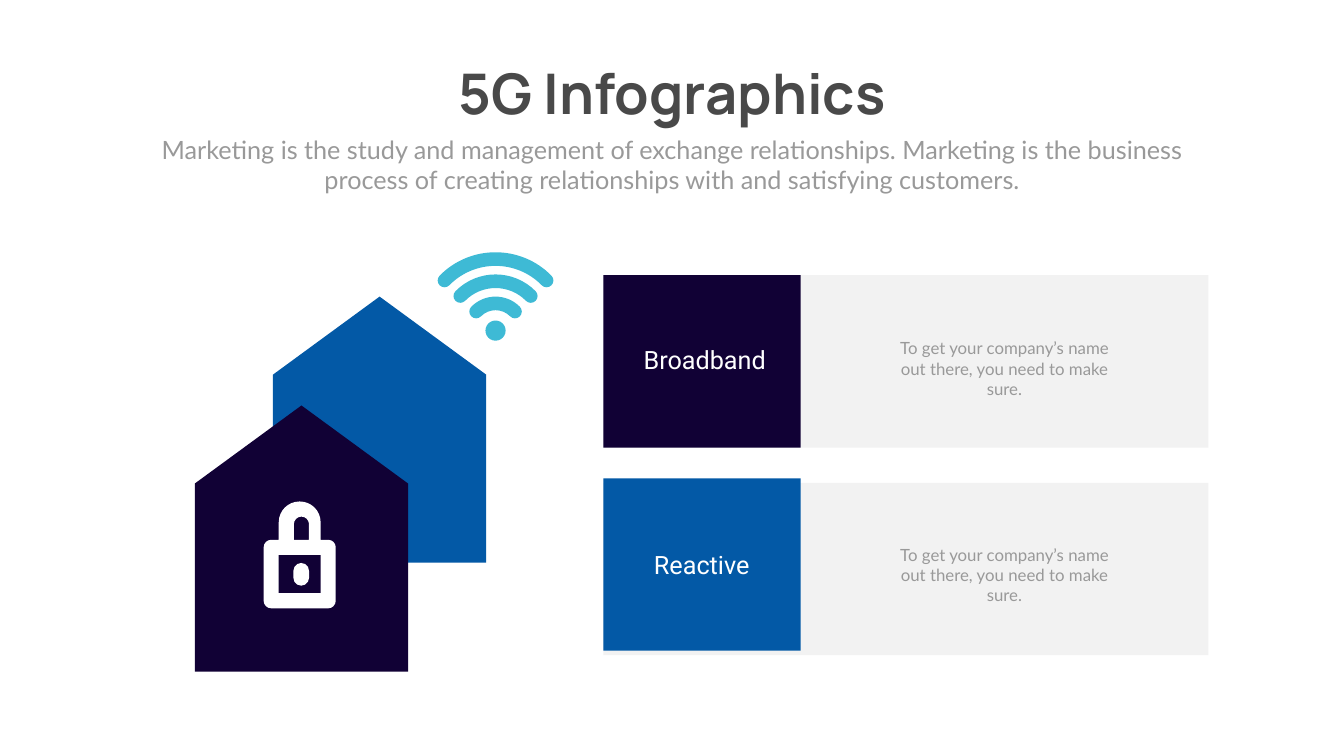
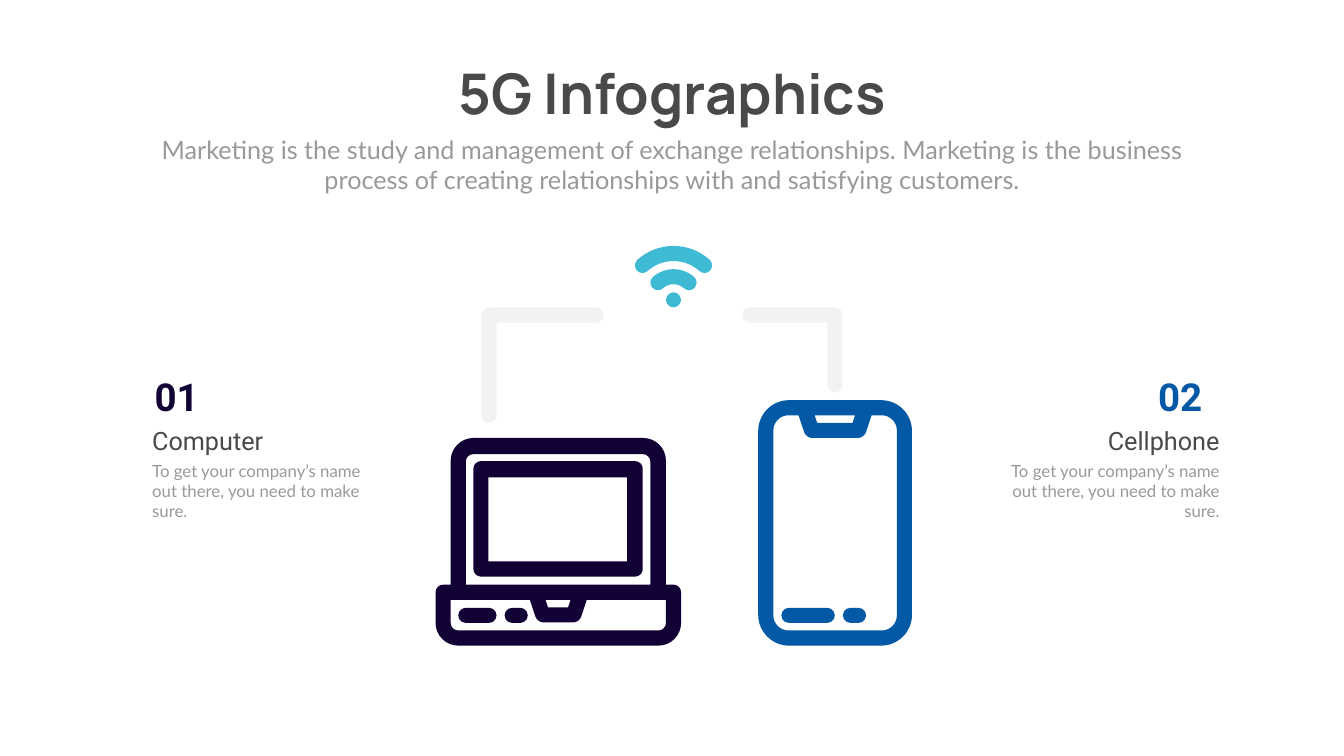
import math
from dataclasses import dataclass
from typing import NamedTuple

from lxml import etree
from pptx import Presentation
from pptx import util as u
from pptx.dml import color
from pptx.enum import shapes, text
from pptx.oxml import ns

COLOURS = {
    "navy": "110135",
    "blue": "0359A6",
    "cyan": "3EBAD5",
    "pale": "F2F2F2",
    "white": "FFFFFF",
    "dark": "494949",
    "grey": "999999",
}
TITLE = "5G Infographics"
SUBTITLE = (
    "Marketing is the study and management of exchange relationships. "
    "Marketing is the business process of creating relationships with and satisfying customers."
)
BLURB = "To get your company’s name out there, you need to make sure."
LEFT, CENTER, RIGHT = text.PP_ALIGN.LEFT, text.PP_ALIGN.CENTER, text.PP_ALIGN.RIGHT
STROKE = 0.3


class Corner(NamedTuple):
    x: float
    y: float
    radius: float = 0


class Point(NamedTuple):
    x: float
    y: float


@dataclass
class Card:
    label: str
    colour: str
    panel_top: float
    label_top: float
    text_left: float
    text_top: float
    blurb_top: float


@dataclass
class Device:
    number: str
    name: str
    colour: str
    align: text.PP_ALIGN
    number_left: float
    number_align: text.PP_ALIGN
    name_left: float
    blurb_left: float


CARDS = [
    Card("Broadband", "navy", 5.46, 5.46, 12.35, 6.78, 6.66),
    Card("Reactive", "blue", 9.58, 9.49, 12.29, 10.84, 10.76),
]
DEVICES = [
    Device("01", "Computer", "navy", LEFT, 2.97, LEFT, 2.92, 2.92),
    Device("02", "Cellphone", "blue", RIGHT, 22.64, CENTER, 21.03, 19.46),
]


def paint(sp, colour: str):
    sp.shadow.inherit = False
    sp.fill.solid()
    sp.fill.fore_color.rgb = color.RGBColor.from_string(COLOURS[colour])
    sp.line.fill.background()
    return sp


def add_preset(s, kind, left: float, top: float, width: float, height: float, colour: str):
    box = map(u.Inches, (left, top, width, height))
    return paint(s.shapes.add_shape(kind, *box), colour)


def add_bar(s, left: float, top: float, width: float, height: float, colour: str) -> None:
    add_preset(s, shapes.MSO_SHAPE.RECTANGLE, left, top, width, height, colour)


def add_pill(s, left: float, top: float, width: float, height: float, colour: str) -> None:
    sp = add_preset(s, shapes.MSO_SHAPE.ROUNDED_RECTANGLE, left, top, width, height, colour)
    sp.adjustments[0] = 0.5


def add_text(s, content: str, left: float, top: float, width: float, height: float, *,
             font: str = "Lato", size: float = 24, colour: str = "grey",
             bold: bool = False, align=LEFT, wrap: bool = True) -> None:
    tf = s.shapes.add_textbox(*map(u.Inches, (left, top, width, height))).text_frame
    tf.word_wrap = wrap
    tf.auto_size = text.MSO_AUTO_SIZE.SHAPE_TO_FIT_TEXT
    p = tf.paragraphs[0]
    p.alignment = align
    r = p.add_run()
    r.text = content
    r.font.name, r.font.size, r.font.bold = font, u.Pt(size), bold
    r.font.color.rgb = color.RGBColor.from_string(COLOURS[colour])


def toward(start: Corner, end: Corner, distance: float) -> Point:
    share = distance / math.dist(start[:2], end[:2])
    return Point(start.x + (end.x - start.x) * share, start.y + (end.y - start.y) * share)


def round_corners(corners: list[Corner]) -> list[Point]:
    points = []
    for i, corner in enumerate(corners):
        before, after = corners[i - 1], corners[(i + 1) % len(corners)]
        entry = toward(corner, before, corner.radius)
        points += [entry] * (3 if points else 1)
        if corner.radius:
            points += [toward(corner, before, corner.radius * 0.45),
                       toward(corner, after, corner.radius * 0.45),
                       toward(corner, after, corner.radius)]
    return points


def frame(left: float, top: float, right: float, bottom: float,
          top_radius: float = 0, bottom_radius: float = 0) -> list[Corner]:
    return [Corner(left, top, top_radius), Corner(right, top, top_radius),
            Corner(right, bottom, bottom_radius), Corner(left, bottom, bottom_radius)]


def join_curves(sp) -> None:
    lines = list(sp.element.iter(ns.qn("a:lnTo")))
    for trio in zip(lines[::3], lines[1::3], lines[2::3]):
        places = {(line[0].get("x"), line[0].get("y")) for line in trio}
        surplus = trio[:2]
        if len(places) > 1:
            curve = etree.Element(ns.qn("a:cubicBezTo"))
            trio[0].addprevious(curve)
            curve.extend([line[0] for line in trio])
            surplus = trio
        for line in surplus:
            line.getparent().remove(line)


def add_outline(s, contours: list[list[Point]], colour: str) -> None:
    builder = None
    for contour in contours:
        points = [(u.Inches(p.x), u.Inches(p.y)) for p in contour]
        if builder is None:
            builder = s.shapes.build_freeform(*points[0])
        else:
            builder.move_to(*points[0])
        builder.add_line_segments(points[1:], close=True)
    sp = paint(builder.convert_to_shape(), colour)
    join_curves(sp)


def add_rounded(s, contours: list[list[Corner]], colour: str) -> None:
    add_outline(s, [round_corners(c) for c in contours], colour)


def on_circle(centre: Point, radius: float, degrees: float, lead: float = 0) -> Point:
    a = math.radians(degrees)
    return Point(centre.x + radius * (math.sin(a) + lead * math.cos(a)),
                 centre.y - radius * (math.cos(a) - lead * math.sin(a)))


def sweep(centre: Point, radius: float, start: float, end: float) -> list[Point]:
    lead = 4 / 3 * math.tan(math.radians(end - start) / 4)
    return [on_circle(centre, radius, start, lead), on_circle(centre, radius, end, -lead),
            on_circle(centre, radius, end)]


def round_end(centre: Point, radius: float, start: float) -> list[Point]:
    return (sweep(centre, radius, start, start + 90)
            + sweep(centre, radius, start + 90, start + 180))


def add_wifi(s, centre: Point, dot: float, radii: list[float], thickness: float,
             spread: float) -> None:
    add_preset(s, shapes.MSO_SHAPE.OVAL, centre.x - dot, centre.y - dot, 2 * dot, 2 * dot, "cyan")
    half = thickness / 2
    for radius in radii:
        arc = ([on_circle(centre, radius + half, -spread)]
               + sweep(centre, radius + half, -spread, spread)
               + round_end(on_circle(centre, radius, spread), half, spread)
               + sweep(centre, radius - half, spread, -spread)
               + round_end(on_circle(centre, radius, -spread), half, 180 - spread))
        add_outline(s, [arc], "cyan")


def add_house(s, left: float, top: float, colour: str) -> None:
    sp = add_preset(s, shapes.MSO_SHAPE.PENTAGON, left, top, 5.28, 4.23, colour)
    sp.adjustments[0] = 0.366
    sp.rotation = 270


def add_lock(s) -> None:
    body = [Corner(5.53, 9.95, 0.41), Corner(6.36, 9.95, 0.41), Corner(6.36, 10.71),
            Corner(6.66, 10.71, 0.15), Corner(6.66, 12.07, 0.15), Corner(5.23, 12.07, 0.15),
            Corner(5.23, 10.71, 0.15), Corner(5.53, 10.71)]
    add_rounded(s, [body, frame(5.53, 11.01, 6.36, 11.77),
                    frame(5.83, 10.25, 6.13, 10.71, 0.15)], "white")
    add_pill(s, 5.82, 11.17, 0.31, 0.45, "white")


def notch(left: float, right: float, top: float, bottom: float) -> list[Corner]:
    return [Corner(left, top), Corner(left + 0.15, bottom, 0.12),
            Corner(right - 0.15, bottom, 0.12), Corner(right, top)]


def notch_window(left: float, right: float, top: float) -> list[Corner]:
    return [Corner(left, top), Corner(right, top),
            Corner(right - 0.05, top + 0.15), Corner(left + 0.05, top + 0.15)]


def add_keys(s, keys: list[tuple[float, float]], colour: str) -> None:
    for left, width in keys:
        add_pill(s, left, 12.06, width, STROKE, colour)


def add_laptop(s) -> None:
    case = [Corner(8.94, 8.69, 0.45), Corner(13.21, 8.69, 0.45), Corner(13.21, 11.6),
            Corner(13.51, 11.6, 0.15), Corner(13.51, 12.81, 0.45), Corner(8.64, 12.81, 0.45),
            Corner(8.64, 11.6, 0.15), Corner(8.94, 11.6)]
    base = [Corner(8.94, 11.9), *notch(10.51, 11.64, 11.9, 12.35), Corner(13.21, 11.9),
            Corner(13.21, 12.51, 0.15), Corner(8.94, 12.51, 0.15)]
    add_rounded(s, [case, frame(9.24, 9.01, 12.9, 11.6, 0.15),
                    notch_window(10.82, 11.32, 11.9), base], "navy")
    add_keys(s, [(9.09, 0.76), (10.01, 0.46)], "navy")
    add_rounded(s, [frame(9.39, 9.15, 12.75, 11.44, 0.15, 0.15),
                    frame(9.69, 9.47, 12.44, 11.14)], "navy")


def add_phone(s) -> None:
    top_left, *others = frame(15.34, 8.24, 17.79, 12.51, 0.3, 0.3)
    screen = [top_left, *notch(15.84, 17.29, 8.24, 8.69), *others]
    add_rounded(s, [frame(15.04, 7.94, 18.09, 12.81, 0.61, 0.61),
                    notch_window(16.16, 16.96, 8.24), screen], "blue")
    add_keys(s, [(15.5, 1.06), (16.72, 0.46)], "blue")


def add_bracket(s, outer: float, end: float, bottom: float) -> None:
    top, cap = 6.1, STROKE / 2
    inner = outer + math.copysign(STROKE, end - outer)
    add_rounded(s, [[Corner(outer, top, cap), Corner(end, top, cap),
                     Corner(end, top + STROKE, cap), Corner(inner, top + STROKE),
                     Corner(inner, bottom, cap), Corner(outer, bottom, cap)]], "pale")


def new_slide(prs):
    s = prs.slides.add_slide(prs.slide_layouts[6])
    add_text(s, TITLE, 8.64, 1.12, 9.39, 1.45, font="Manrope", size=80, colour="dark",
             bold=True, align=CENTER, wrap=False)
    add_text(s, SUBTITLE, 2.92, 2.61, 20.82, 1.31, size=36, align=CENTER)
    return s


def build_house_slide(prs) -> None:
    s = new_slide(prs)
    add_house(s, 4.89, 6.41, "blue")
    add_house(s, 3.34, 8.57, "navy")
    add_lock(s)
    add_wifi(s, Point(9.83, 6.56), 0.2, [0.54, 1.42, 0.98], 0.27, 45.5)
    for card in CARDS:
        add_bar(s, 11.97, card.panel_top, 12, 3.42, "pale")
    for card in CARDS:
        add_bar(s, 11.97, card.label_top, 3.91, 3.42, card.colour)
    for card in CARDS:
        add_text(s, BLURB, 17.51, card.blurb_top, 4.83, 0.91, align=CENTER)
    for card in CARDS:
        add_text(s, card.label, card.text_left, card.text_top, 3.26, 0.71,
                 font="Roboto", size=36, colour="white", align=CENTER)


def build_device_slide(prs) -> None:
    s = new_slide(prs)
    add_laptop(s)
    add_phone(s)
    add_wifi(s, Point(13.36, 5.95), 0.15, [0.46, 0.92], STROKE, 42)
    add_bracket(s, 9.55, 11.98, 8.39)
    add_bracket(s, 16.71, 14.73, 7.78)
    for device in DEVICES:
        add_text(s, BLURB, device.blurb_left, 9.09, 4.83, 0.91, align=device.align)
        add_text(s, device.name, device.name_left, 8.38, 3.26, 0.71,
                 font="Roboto", size=36, colour="dark", align=device.align)
    for device in DEVICES:
        add_text(s, device.number, device.number_left, 7.35, 1.54, 1.03, font="Roboto",
                 size=55, colour=device.colour, bold=True, align=device.number_align)


def main() -> None:
    prs = Presentation()
    prs.slide_width, prs.slide_height = u.Inches(26.66), u.Inches(15)
    build_house_slide(prs)
    build_device_slide(prs)
    prs.save("out.pptx")


if __name__ == "__main__":
    main()
